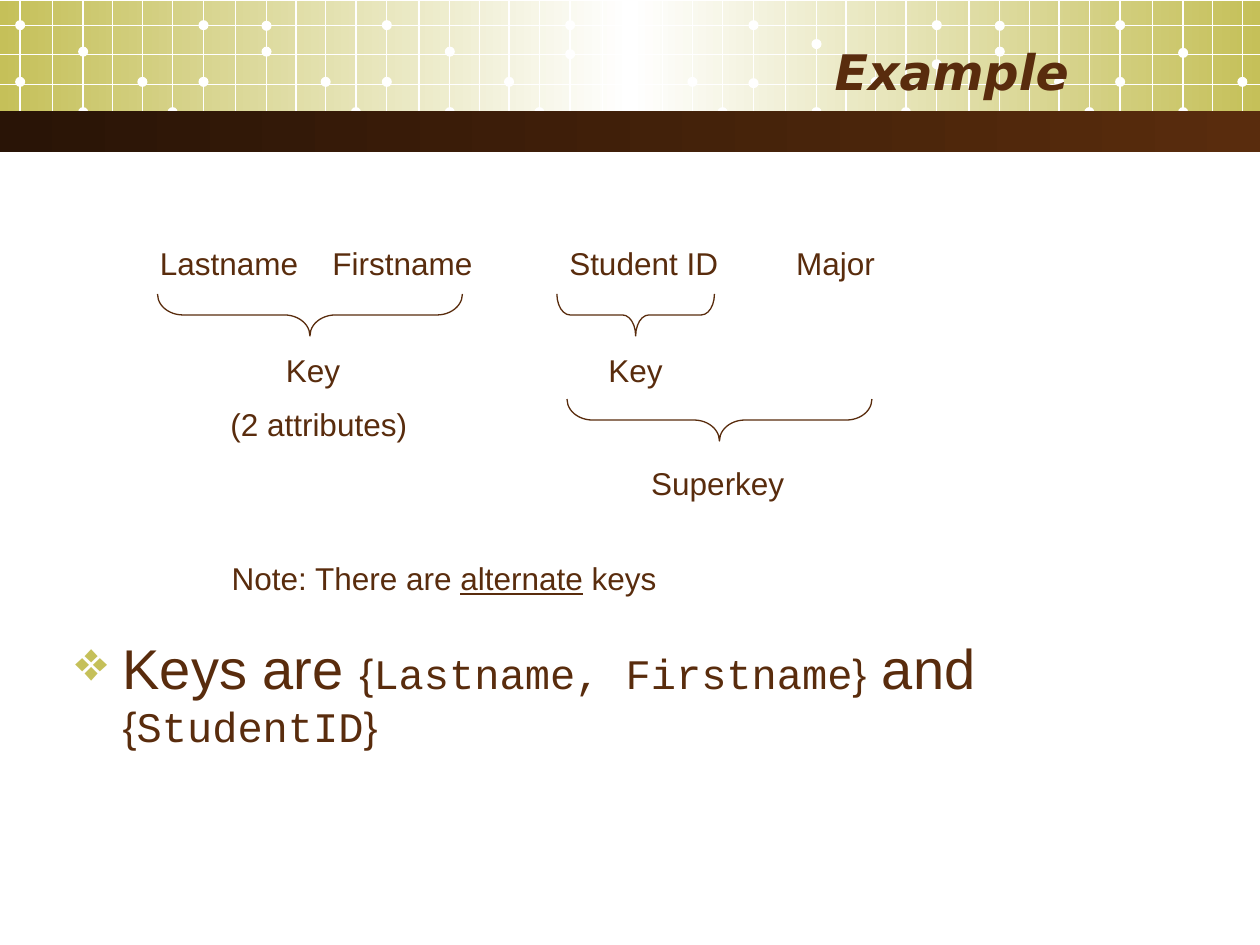
import copy

import pptx
import pptx.dml.color
import pptx.enum.shapes
import pptx.enum.text
import pptx.oxml.ns
import pptx.util
from lxml import etree

# The slide is a grid of 100 columns by 75 rows of square cells
COLS, ROWS = 100, 75
CELL = pptx.util.Inches(0.1)

BROWN, DARK, OLIVE, WHITE = "592C0D", "291406", "C5C059", "FFFFFF"
SHAPE = pptx.enum.shapes.MSO_SHAPE
ALIGN = pptx.enum.text.PP_ALIGN
ANCHOR = pptx.enum.text.MSO_ANCHOR
MONO = "Courier New"


def cells(*values):
    return [round(v * CELL) for v in values]


def color(value):
    return pptx.dml.color.RGBColor.from_string(value)


def sub(parent, tag, **attrs):
    return etree.SubElement(parent, pptx.oxml.ns.qn(tag), attrs)


def add_shape(s, kind, box):
    sp = s.shapes.add_shape(kind, *cells(*box))
    sp.shadow.inherit = False
    return sp


def add_band(s, top, height, colors):
    """Full-width bar with evenly spaced gradient stops, left to right."""
    sp = add_shape(s, SHAPE.RECTANGLE, (0, top, COLS, height))
    sp.line.fill.background()
    sp.fill.gradient()
    sp.fill.gradient_angle = 0
    stops = sp.fill._fill._gradFill.gsLst
    while len(stops) < len(colors):
        stops.append(copy.deepcopy(stops[0]))
    for i, (stop, value) in enumerate(zip(sp.fill.gradient_stops, colors)):
        stop.position = i / (len(colors) - 1)
        stop.color.rgb = color(value)


def add_line(s, x1, y1, x2, y2):
    line = s.shapes.add_connector(
        pptx.enum.shapes.MSO_CONNECTOR.STRAIGHT, *cells(x1, y1, x2, y2))
    line.line.color.rgb = color(WHITE)
    line.line.width = pptx.util.Pt(0.75)
    sub(line._element.spPr, "a:effectLst")


def add_dot(s, x, y, size=0.8):
    sp = add_shape(s, SHAPE.OVAL, (x - size / 2, y - size / 2, size, size))
    sp.fill.solid()
    sp.fill.fore_color.rgb = color(WHITE)
    sp.line.fill.background()


def add_brace(s, left, top, length, depth=3.33):
    """Brace opening upwards: a left brace turned on its side."""
    box = (left + (length - depth) / 2, top - (length - depth) / 2, depth, length)
    sp = add_shape(s, SHAPE.LEFT_BRACE, box)
    sp.rotation = 270
    sp.adjustments[0] = length / 12 / depth
    sp.fill.background()
    sp.line.color.rgb = color(BROWN)
    sp.line.width = pptx.util.Pt(0.75)


def add_box(s, box, anchor=ANCHOR.TOP):
    tf = s.shapes.add_textbox(*cells(*box)).text_frame
    tf.word_wrap = True
    tf.vertical_anchor = anchor
    return tf


def add_run(p, text, size=18, font="Arial", bold=None, italic=None, underline=None):
    r = p.add_run()
    r.text = text
    r.font.size = pptx.util.Pt(size)
    r.font.name = font
    r.font.color.rgb = color(BROWN)
    r.font.bold, r.font.italic, r.font.underline = bold, italic, underline


def space(p, before=11.2, line=0.9):
    p.space_before = pptx.util.Pt(before)
    p.line_spacing = line


def set_tabs(p, stops):
    tabs = sub(p._p.get_or_add_pPr(), "a:tabLst")
    for pos in cells(*stops):
        sub(tabs, "a:tab", pos=str(pos), algn="l")


def set_bullet(p, char, value, indent):
    pPr = p._p.get_or_add_pPr()
    pPr.set("marL", str(cells(indent)[0]))
    pPr.set("indent", str(-cells(indent)[0]))
    sub(sub(pPr, "a:buClr"), "a:srgbClr", val=value)
    sub(pPr, "a:buChar", char=char)


def draw_header(s):
    add_band(s, 0.1, 10.2, [OLIVE, WHITE, OLIVE])
    # Lattice: seven repeats of six uneven columns, with dots on some crossings
    offsets = [0, 2.55, 5, 7.35, 9.7, 12.1]
    low_dots = [6.5, 6.5, 6.5, 4.3, 6.6, 5.1, 6.5]
    mid_dots = [4.1, 4.1, 4.1, 4.2, 3.5, 4.1, 4.2]
    for i, (low, mid) in enumerate(zip(low_dots, mid_dots)):
        start = 1.6 + 14.55 * i
        for x in offsets:
            if start + x < COLS:
                add_line(s, start + x, 0, start + x, 11)
        other = 2.05 if i % 2 else 8.9
        dots = [(0, low), (0, 2), (5, mid), (5, other), (9.7, 6.5), (12.1, 8.9)]
        for x, y in dots:
            if start + x < COLS:
                add_dot(s, start + x, y)
    for y in (2, 4.3, 6.7, 8.9):
        add_line(s, 0, y, COLS, y)
    add_band(s, 8.8, 3.3, [DARK, BROWN])
    # Title
    p = add_box(s, (5, 2.5, 80.8, 6.2), ANCHOR.MIDDLE).paragraphs[0]
    p.alignment = ALIGN.RIGHT
    add_run(p, "Example", 28, "DejaVu Sans", bold=True, italic=True)


def draw_attributes(s):
    # Attribute names above, key labels below their braces
    tf = add_box(s, (11.7, 19.2, 59.3, 16.5))
    rows = [
        ("Lastname\tFirstname\tStudent ID\tMajor", 11.2, [13.7, 32.5, 50.5]),
        ("\tKey\tKey", 42, [10, 35.6]),
        ("\t(2 attributes)", 11.2, [5.6]),
    ]
    for i, (text, before, stops) in enumerate(rows):
        p = tf.add_paragraph() if i else tf.paragraphs[0]
        space(p, before)
        set_tabs(p, stops)
        add_run(p, text)

    p = add_box(s, (50.7, 36.7, 20.9, 6.4)).paragraphs[0]
    space(p)
    add_run(p, "Superkey")

    for left, top, length in [(12.5, 23.33, 24.2), (45, 31.67, 24.2), (44.2, 23.33, 12.5)]:
        add_brace(s, left, top, length)


def draw_notes(s):
    p = add_box(s, (17.4, 44.2, 51.8, 6.4)).paragraphs[0]
    space(p)
    add_run(p, "Note: There are ")
    add_run(p, "alternate", underline=True)
    add_run(p, " keys")

    # Conclusion
    p = add_box(s, (5, 49.8, 90, 19.4)).paragraphs[0]
    space(p, 8, 1.0)
    set_bullet(p, "❖", OLIVE, 3.75)
    for lead, names in [("Keys are ", "Lastname, Firstname"), (" and ", "StudentID")]:
        add_run(p, lead, 32)
        add_run(p, "{", 24)
        add_run(p, names, 24, MONO)
        add_run(p, "}", 24)


def main():
    prs = pptx.Presentation()
    prs.slide_width, prs.slide_height = cells(COLS, ROWS)
    s = prs.slides.add_slide(prs.slide_layouts[6])
    draw_header(s)
    draw_attributes(s)
    draw_notes(s)
    prs.save("out.pptx")


if __name__ == "__main__":
    main()
